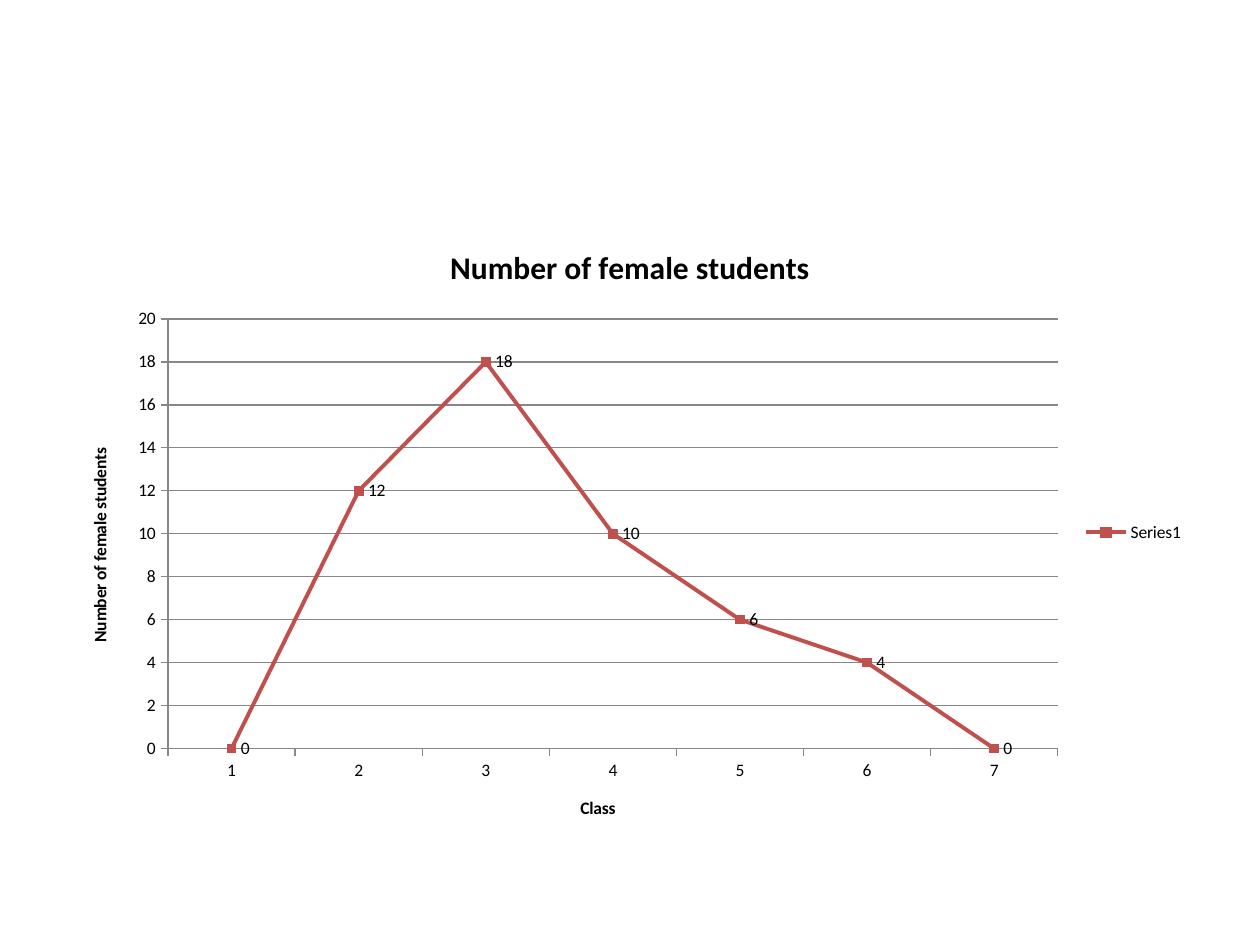
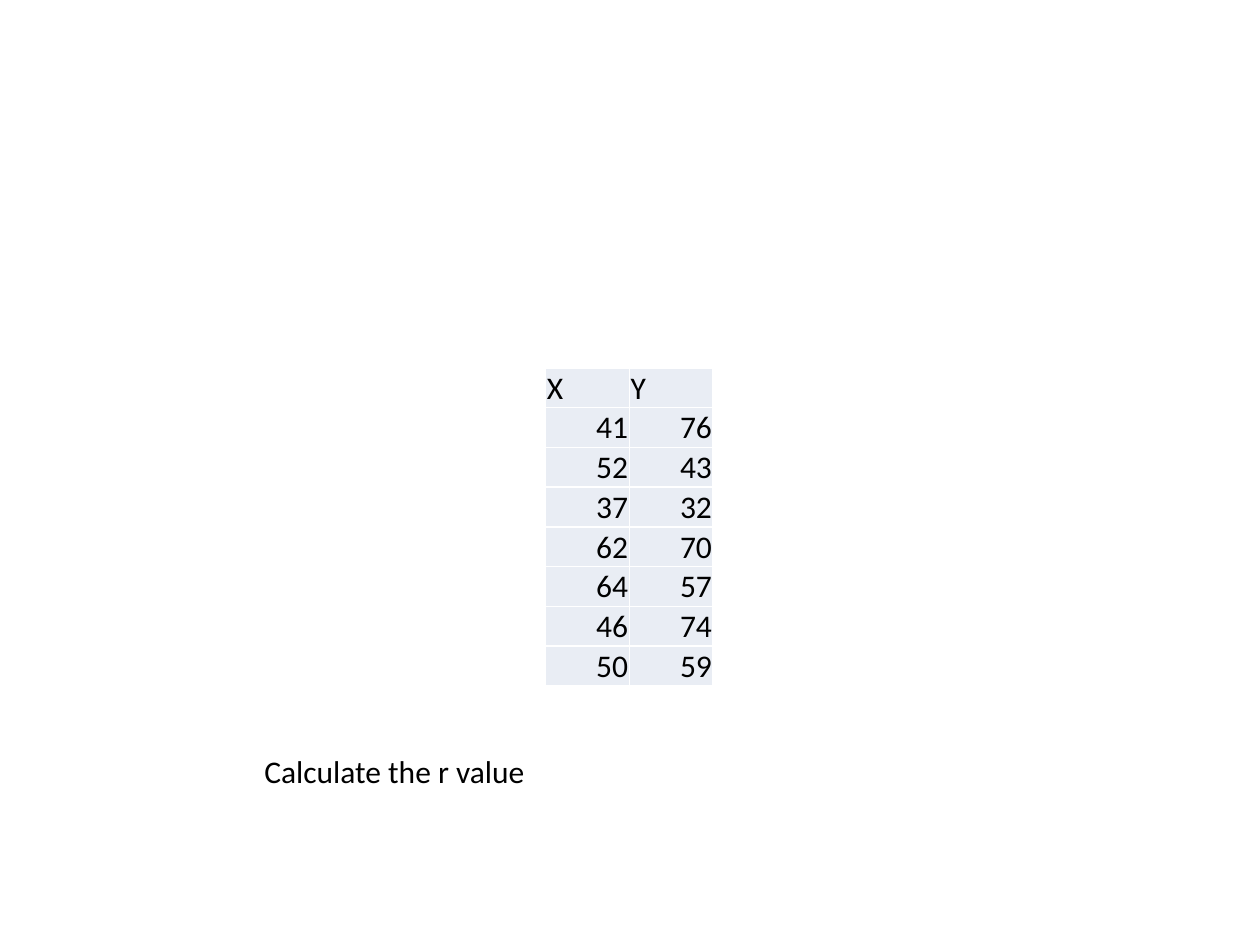
from pptx import Presentation
from pptx.chart.data import CategoryChartData
from pptx.dml.color import RGBColor
from pptx.enum import chart as chart_enum, text
from pptx.oxml import parse_xml
from pptx.oxml.ns import nsdecls
from pptx.util import Inches, Pt

FONT = "Calibri"
BLACK, WHITE = "000000", "FFFFFF"
SERIES_RED, AXIS_GRAY, CELL_FILL = "C0504D", "878787", "E9EDF4"
STUDENTS_TITLE = "Number of female students"
STUDENTS = [0, 12, 18, 10, 6, 4, 0]
XY_ROWS = [("X", "Y"), (41, 76), (52, 43), (37, 32), (62, 70), (64, 57), (46, 74), (50, 59)]


def color(hex_string):
    """Turn a hex string into a colour."""
    return RGBColor.from_string(hex_string)


def style_font(font, size, bold=False):
    """Apply the shared typeface and text colour."""
    font.name, font.size, font.bold = FONT, Pt(size), bold
    font.color.rgb = color(BLACK)


def style_line(line, hex_string, width):
    """Set a line's colour and width."""
    line.color.rgb = color(hex_string)
    line.width = Pt(width)


def set_title(owner, title, size):
    """Give a chart or an axis a bold title."""
    frame = (owner.chart_title if hasattr(owner, "chart_title") else owner.axis_title).text_frame
    frame.text = title
    style_font(frame.paragraphs[0].font, size, bold=True)


def add_students_chart(slide, left, top, width, height):
    """Draw the line chart of female students by class."""
    data = CategoryChartData()
    data.categories = [str(number) for number in range(1, len(STUDENTS) + 1)]
    data.add_series("Series1", STUDENTS)
    chart = slide.shapes.add_chart(
        chart_enum.XL_CHART_TYPE.LINE_MARKERS,
        Inches(left), Inches(top), Inches(width), Inches(height), data).chart
    style_font(chart.font, 10)
    set_title(chart, STUDENTS_TITLE, 18)
    chart.has_legend = True
    chart.legend.position = chart_enum.XL_LEGEND_POSITION.RIGHT
    chart.legend.include_in_layout = False

    for axis, title in ((chart.category_axis, "Class"), (chart.value_axis, STUDENTS_TITLE)):
        set_title(axis, title, 10)
        axis.major_tick_mark = chart_enum.XL_TICK_MARK.OUTSIDE
        style_line(axis.format.line, AXIS_GRAY, 0.75)
    style_line(chart.value_axis.major_gridlines.format.line, AXIS_GRAY, 0.75)

    plot = chart.plots[0]
    plot.vary_by_categories = False
    series = plot.series[0]
    series.smooth = False
    style_line(series.format.line, SERIES_RED, 2.25)
    series.marker.style = chart_enum.XL_MARKER_STYLE.SQUARE
    series.marker.size = 5
    series.marker.format.fill.solid()
    series.marker.format.fill.fore_color.rgb = color(SERIES_RED)
    style_line(series.marker.format.line, SERIES_RED, 0.75)
    labels = series.data_labels
    labels.show_value = True
    labels.position = chart_enum.XL_LABEL_POSITION.RIGHT
    style_font(labels.font, 10)


def add_cell_borders(cell):
    """Draw a thin white line on each side of a cell."""
    properties = cell._tc.get_or_add_tcPr()
    for side in "LRTB":
        properties.append(parse_xml(
            f'<a:ln{side} {nsdecls("a")} w="{Pt(1)}"><a:solidFill>'
            f'<a:srgbClr val="{WHITE}"/></a:solidFill></a:ln{side}>'))


def fill_cell(cell, value):
    """Write one value, with numbers set to the right."""
    cell.margin_left = cell.margin_right = cell.margin_top = Inches(0.01)
    cell.margin_bottom = 0
    cell.vertical_anchor = text.MSO_ANCHOR.BOTTOM
    add_cell_borders(cell)
    cell.fill.solid()
    cell.fill.fore_color.rgb = color(CELL_FILL)
    cell.text = str(value)
    paragraph = cell.text_frame.paragraphs[0]
    if isinstance(value, int):
        paragraph.alignment = text.PP_ALIGN.RIGHT
    style_font(paragraph.font, 18)


def add_xy_table(slide, left, top, width, height):
    """Draw the table of paired X and Y values."""
    table = slide.shapes.add_table(
        len(XY_ROWS), len(XY_ROWS[0]),
        Inches(left), Inches(top), Inches(width), Inches(height)).table
    table.first_row = table.horz_banding = False
    for row, values in enumerate(XY_ROWS):
        for column, value in enumerate(values):
            fill_cell(table.cell(row, column), value)


def add_question(slide, left, top, width, height):
    """Place the question below the table."""
    box = slide.shapes.add_textbox(Inches(left), Inches(top), Inches(width), Inches(height))
    frame = box.text_frame
    frame.word_wrap = True
    frame.auto_size = text.MSO_AUTO_SIZE.SHAPE_TO_FIT_TEXT
    frame.text = "Calculate the r value"
    style_font(frame.paragraphs[0].font, 18)


def main():
    """Build and save the presentation."""
    presentation = Presentation()
    presentation.slide_width, presentation.slide_height = Inches(10), Inches(7.5)
    blank = presentation.slide_layouts[6]
    add_students_chart(presentation.slides.add_slide(blank), 0.5, 1.75, 9, 4.95)
    correlation_slide = presentation.slides.add_slide(blank)
    add_xy_table(correlation_slide, 4.33, 2.92, 1.33, 2.48)
    add_question(correlation_slide, 2, 5.92, 3.33, 0.4)
    presentation.save("out.pptx")


if __name__ == "__main__":
    main()
